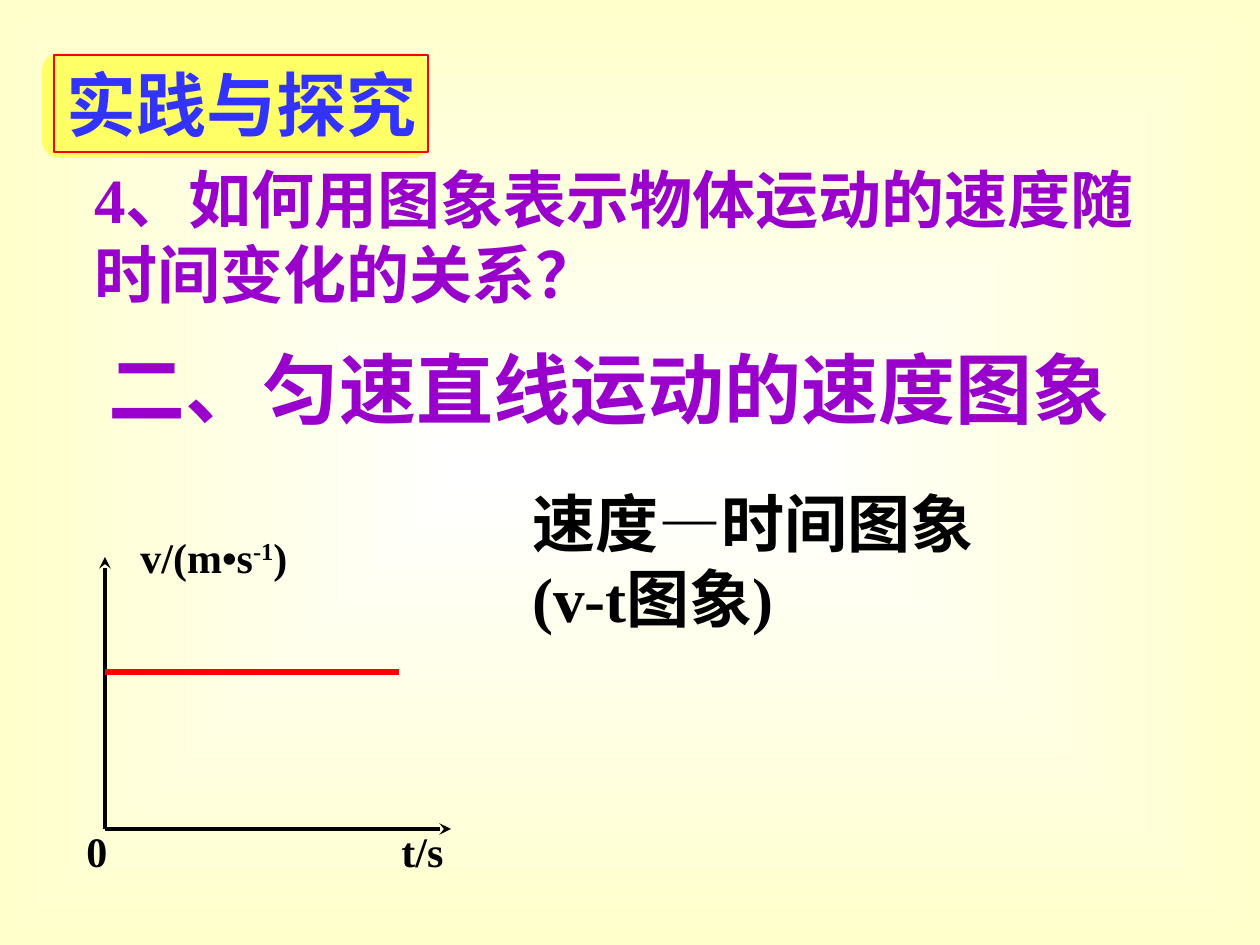
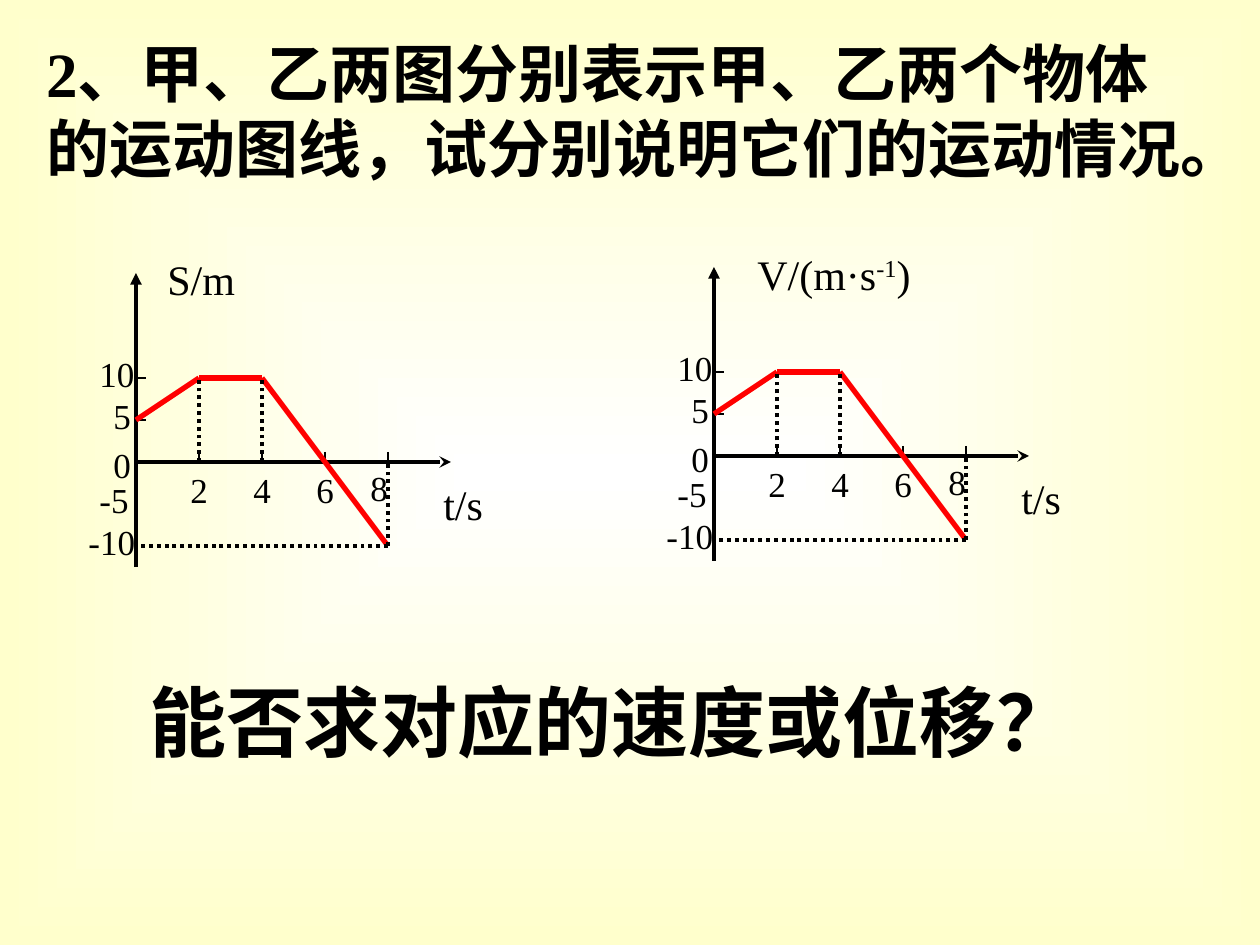
from dataclasses import dataclass

from pptx import Presentation
from pptx.dml.color import RGBColor
from pptx.enum.dml import MSO_LINE
from pptx.enum.shapes import MSO_CONNECTOR, MSO_SHAPE
from pptx.enum.text import MSO_AUTO_SIZE
from pptx.oxml.ns import qn
from pptx.oxml.xmlchemy import OxmlElement as Element
from pptx.slide import Slide
from pptx.util import Emu, Pt

EMU_PER_PX = 914400 / 126
FONT = "Times New Roman"
COLORS = {
    "center": "FFFFFF",
    "edge": "FFFFCC",
    "badge": "FFFF66",
    "badge_text": "3333FF",
    "heading": "9900CC",
    "ink": "000000",
    "curve": "FF0000",
}


@dataclass(frozen=True)
class Label:
    text: str
    x: int
    y: int
    width: int
    height: int = 55
    size: int = 20


@dataclass(frozen=True)
class MotionGraph:
    x: int  # origin of the axes
    y: int
    quantity: Label


TWO_SECONDS = 63  # px along the time axis
FIVE_UNITS = 42  # px along the value axis
AXIS_LABELS = [
    Label("0", -35, -25, 43),
    Label("5", -35, -74, 43),
    Label("10", -49, -116, 60),
    Label("-5", -49, 10, 54),
    Label("-10", -60, 52, 72),
    *(Label(str(2 * i), i * TWO_SECONDS - 21, 0, 43) for i in (1, 2, 3)),
    Label("8", 222, -2, 43),
    Label("t/s", 295, 10, 64, 63, 24),
]
GRAPHS = [
    MotionGraph(136, 462, Label("S/m", 19, -215, 93, 63, 24)),
    MotionGraph(714, 456, Label("V/(m·s^-1^)", 31, -214, 176, 63, 24)),
]
# (time in s, value) at the corners of the curve
MOTION = [(0, 5), (2, 10), (4, 10), (8, -10)]


def px(length: int) -> Emu:
    return Emu(round(length * EMU_PER_PX))


def rgb(name: str) -> RGBColor:
    return RGBColor.from_string(COLORS[name])


def add_slide(deck) -> Slide:
    """Add a blank slide with the gradient glowing from its centre."""
    slide = deck.slides.add_slide(deck.slide_layouts[6])
    fill = slide.background.fill
    fill.gradient()
    for stop, name, position in zip(fill.gradient_stops, ("center", "edge"), (0, 1)):
        stop.color.rgb = rgb(name)
        stop.position = position
    gradient = slide.element.find(".//" + qn("a:gradFill"))
    gradient.remove(gradient.find(qn("a:lin")))
    path = Element("a:path")
    path.set("path", "rect")
    focus = Element("a:fillToRect")
    for side in "ltrb":
        focus.set(side, "50000")
    path.append(focus)
    gradient.append(path)
    return slide


def add_text(slide: Slide, text: str, x: int, y: int, width: int, height: int, *,
             size: int, color: str = "ink", bold: bool = False,
             wrap: bool = False, border: str = ""):
    """Add a text box; parts between ^ marks are superscript."""
    box = slide.shapes.add_textbox(px(x), px(y), px(width), px(height))
    if border:
        box.line.color.rgb = rgb(border)
        box.line.width = Pt(0.75)
    frame = box.text_frame
    frame.word_wrap = wrap
    frame.auto_size = MSO_AUTO_SIZE.SHAPE_TO_FIT_TEXT
    if not wrap:
        frame.margin_right = 0  # room for the line to stay whole
    for i, line in enumerate(text.split("\n")):
        paragraph = frame.add_paragraph() if i else frame.paragraphs[0]
        for part, piece in enumerate(line.split("^")):
            run = paragraph.add_run()
            run.text = piece
            font = run.font
            font.name, font.size, font.bold = FONT, Pt(size), bold
            font.color.rgb = rgb(color)
            if part % 2:
                run._r.get_or_add_rPr().set("baseline", "30000")


def add_label(slide: Slide, label: Label, x: int = 0, y: int = 0, bold: bool = False):
    add_text(slide, label.text, x + label.x, y + label.y, label.width, label.height,
             size=label.size, bold=bold)


def add_line(slide: Slide, start: tuple[int, int], end: tuple[int, int], *,
             color: str = "ink", width: float = 2.25, dotted: bool = False,
             arrow: str = ""):
    connector = slide.shapes.add_connector(
        MSO_CONNECTOR.STRAIGHT, *(px(v) for v in (*start, *end)))
    line = connector.line
    line.color.rgb = rgb(color)
    line.width = Pt(width)
    if dotted:
        line.dash_style = MSO_LINE.ROUND_DOT
    if arrow:
        tip = Element("a:tailEnd")
        tip.set("type", arrow)
        line._get_or_add_ln().append(tip)
    connector._element.spPr.append(Element("a:effectLst"))


def add_badge(slide: Slide):
    backing = slide.shapes.add_shape(
        MSO_SHAPE.ROUNDED_RECTANGLE, px(42), px(53), px(388), px(105))
    backing.shadow.inherit = False
    backing.fill.solid()
    backing.fill.fore_color.rgb = rgb("badge")
    backing.line.fill.background()
    add_text(slide, "实践与探究", 54, 55, 374, 97, size=40, color="badge_text",
             bold=True, border="curve")


def add_uniform_graph(slide: Slide):
    """Draw the velocity-time graph of uniform motion."""
    origin = (105, 829)
    add_line(slide, origin, (451, 829), arrow="stealth")
    add_line(slide, origin, (105, 557), arrow="stealth")
    for label in (Label("t/s", 389, 819, 67, 63, 24),
                  Label("v/(m•s^-1^)", 128, 525, 172, 63, 24),
                  Label("0", 74, 819, 45, 63, 24)):
        add_label(slide, label, bold=True)
    add_line(slide, (105, 672), (399, 672), color="curve", width=3)


def add_motion_graph(slide: Slide, graph: MotionGraph):
    def at(time: int, value: int) -> tuple[int, int]:
        return (graph.x + time * TWO_SECONDS // 2,
                graph.y - value * FIVE_UNITS // 5)

    left, base = graph.x, graph.y
    add_line(slide, (left, base + 105), (left, base - 189), arrow="triangle")
    add_line(slide, (left, base), (left + 315, base), arrow="stealth")
    for time in (2, 4, 6, 8):
        x, _ = at(time, 0)
        add_line(slide, (x, base - 10), (x, base), width=0.75)
    for value in (5, 10):
        _, y = at(0, value)
        add_line(slide, (left, y), (left + 10, y), width=0.75)
    for start, end in zip(MOTION, MOTION[1:]):
        add_line(slide, at(*start), at(*end), color="curve", width=3)
    for time, value in MOTION[1:]:
        low, high = sorted((0, value))
        add_line(slide, at(time, low), at(time, high), dotted=True)
    add_line(slide, at(8, -10), at(0, -10), dotted=True)
    for label in (*AXIS_LABELS, graph.quantity):
        add_label(slide, label, left, base)


def build_velocity_slide(deck):
    slide = add_slide(deck)
    add_text(slide, "二、匀速直线运动的速度图象", 96, 335, 1027, 106,
             size=44, color="heading", bold=True)
    add_text(slide, "速度—时间图象\n(v-t图象)", 520, 478, 466, 164, size=36, bold=True)
    add_badge(slide)
    add_text(slide, "4、如何用图象表示物体运动的速度随时间变化的关系？",
             82, 154, 1124, 164, size=36, color="heading", bold=True, wrap=True)
    add_uniform_graph(slide)


def build_comparison_slide(deck):
    slide = add_slide(deck)
    add_text(slide, "2、甲、乙两图分别表示甲、乙两个物体\n的运动图线，试分别说明它们的运动情况。",
             34, 28, 1222, 164, size=36, bold=True)
    for graph in GRAPHS:
        add_motion_graph(slide, graph)
    add_text(slide, "能否求对应的速度或位移？", 137, 668, 950, 106, size=44, bold=True)


def main():
    deck = Presentation()
    deck.slide_width, deck.slide_height = px(1260), px(945)
    build_velocity_slide(deck)
    build_comparison_slide(deck)
    deck.save("out.pptx")


if __name__ == "__main__":
    main()
